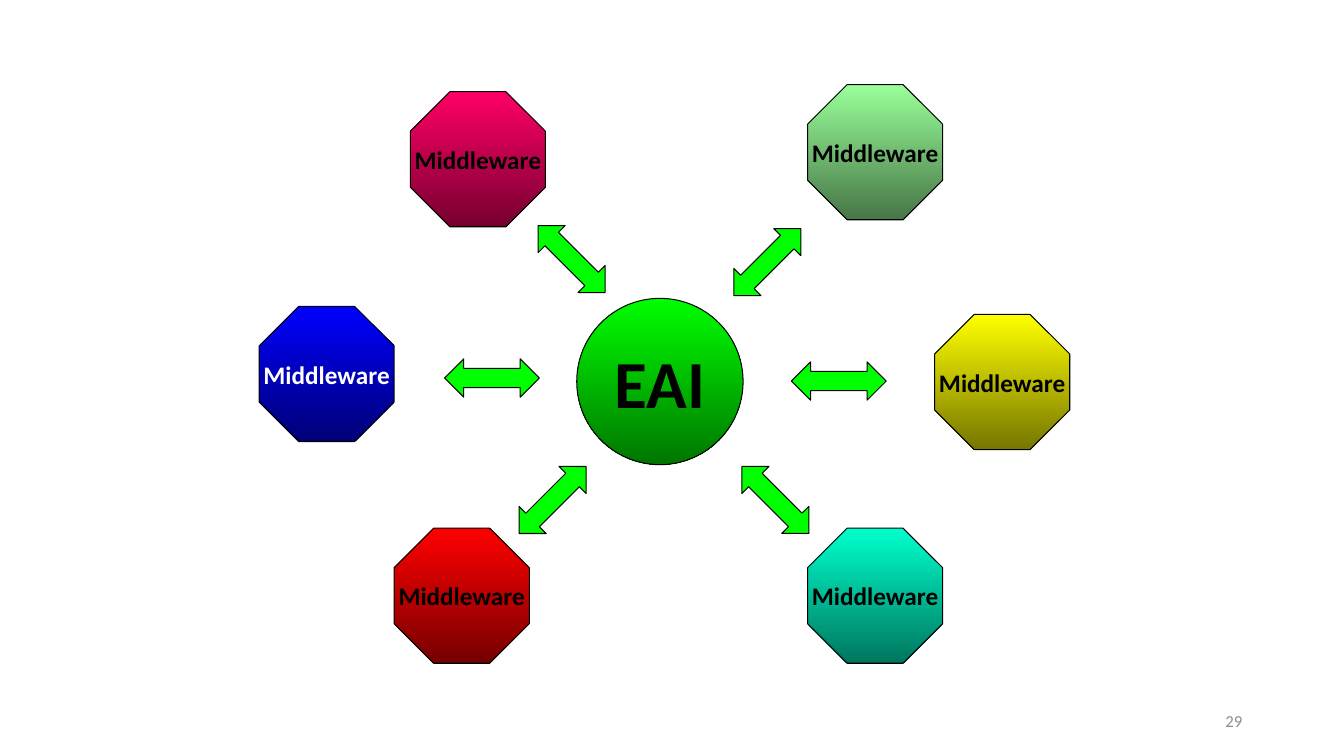
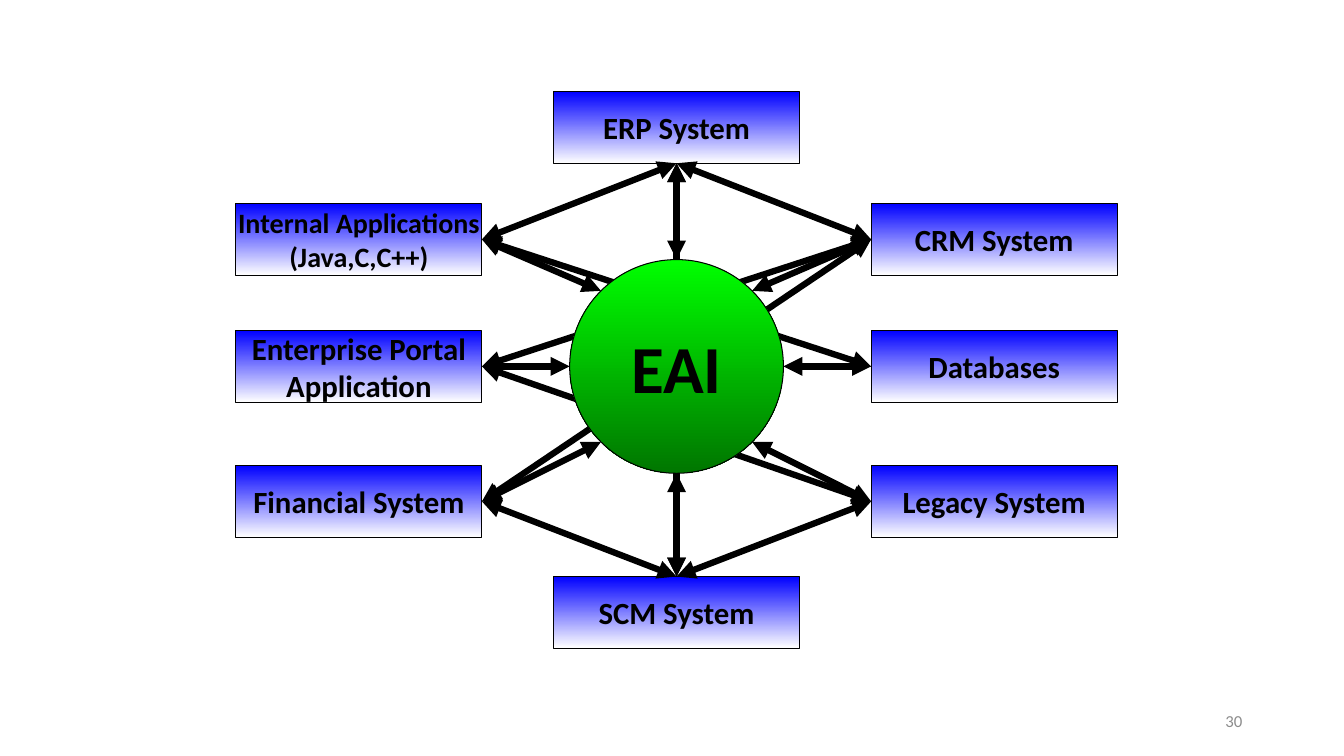
from math import cos, radians, sin

from pptx import Presentation
from pptx.dml.color import RGBColor as RGB
from pptx.enum.shapes import MSO_CONNECTOR as Line, MSO_SHAPE as Shape
from pptx.enum.text import MSO_ANCHOR as Anchor, PP_ALIGN as Align
from pptx.oxml.ns import qn
from pptx.util import Inches, Pt
from lxml import etree

BLACK = RGB(0x00, 0x00, 0x00)
WHITE = RGB(0xFF, 0xFF, 0xFF)
GREY = RGB(0x8C, 0x8C, 0x8C)
GREEN = RGB(0x00, 0xFF, 0x00)
BLUE = RGB(0x00, 0x00, 0xFF)
PINK = RGB(0xFF, 0x00, 0x66)
RED = RGB(0xFF, 0x00, 0x00)
TEAL = RGB(0x00, 0xFF, 0xCC)
YELLOW = RGB(0xFF, 0xFF, 0x00)
MINT = RGB(0x99, 0xFF, 0x99)

WIDE, HIGH = 13.33, 7.5
CELL = 0.1  # grid cell in inches
BOLD = dict(name="Calibri", bold=True)
PLAIN = dict(name="Calibri", size=Pt(12))

# Centre column and row, fill, text colour
NODES = [
    (21.7, 7.4, PINK, BLACK),
    (6.7, 28.7, BLUE, WHITE),
    (61.1, 50.7, TEAL, BLACK),
    (73.7, 29.5, YELLOW, BLACK),
    (20.1, 50.7, RED, BLACK),
    (61.1, 6.7, MINT, BLACK),
]
# Centre column and row, turn in degrees
ARROWS = [
    (51.2, 41.2, 45), (29.1, 41.2, 135), (31, 17.3, 45),
    (57.5, 29.4, 0), (23.1, 29.1, 0), (50.4, 17.6, 135),
]

APP_W, APP_H = 24.4, 7.1
LEFT, MID, RIGHT = (APP_W / 2 + 31.5 * n for n in range(3))
ROWS = [top + APP_H / 2 for top in (0, 11.1, 23.7, 37.1, 48.1)]
# Text, column, row, side that faces the hub, angle of its spoke, text size
APPS = {
    "erp": ("ERP System", MID, 0, (0, 1), -90, 22),
    "old": ("Legacy System", RIGHT, 3, (-1, 0), 45, 22),
    "data": ("Databases", RIGHT, 2, (-1, 0), 0, 22),
    "crm": ("CRM System", RIGHT, 1, (-1, 0), -45, 22),
    "portal": ("Enterprise Portal\nApplication", LEFT, 2, (1, 0), 180, 22),
    "money": ("Financial System", LEFT, 3, (1, 0), 135, 22),
    "scm": ("SCM System", MID, 4, (0, -1), 90, 22),
    "own": ("Internal Applications\n(Java,C,C++)", LEFT, 1, (1, 0), -135, 20),
}
LINKS = [
    ("own", "erp"), ("portal", "old"), ("own", "data"),
    ("scm", "money"), ("scm", "old"), ("erp", "scm"),
    ("erp", "crm"), ("portal", "crm"), ("money", "crm"),
]


def shade(tint):
    return RGB(*(round(part * 118 / 255) for part in tint))


def spot(box, col, row):
    """Turn a grid place in the box into slide lengths."""
    return Inches(box[0] + col * CELL), Inches(box[1] + row * CELL)


def write(frame, text, align, tint, **font):
    frame.text = text
    frame.vertical_anchor = Anchor.MIDDLE
    for para in frame.paragraphs:
        para.alignment = align
        para.font.color.rgb = tint
        for key, value in font.items():
            setattr(para.font, key, value)


def draw(slide, kind, box, col, row, wide, high, tint, end=None):
    """Add a shape centred on a grid place, with a gradient if end is set."""
    left, top = spot(box, col - wide / 2, row - high / 2)
    shape = slide.shapes.add_shape(
        kind, left, top, Inches(wide * CELL), Inches(high * CELL))
    shape.shadow.inherit = False
    shape.line.color.rgb = BLACK
    shape.line.width = Pt(0.75)
    if end is None:
        shape.fill.solid()
        shape.fill.fore_color.rgb = tint
    else:
        shape.fill.gradient()
        shape.fill.gradient_angle = 270
        for stop, rgb in zip(shape.fill.gradient_stops, (tint, end)):
            stop.color.rgb = rgb
    return shape


def label(shape, text, size, tint=BLACK):
    shape.text_frame.word_wrap = False
    write(shape.text_frame, text, Align.CENTER, tint, size=Pt(size), **BOLD)


def hub(slide, box, col, row, size):
    disc = draw(slide, Shape.OVAL, box, col, row, size, size,
                GREEN, shade(GREEN))
    label(disc, "EAI", 48)


def link(slide, box, start, end):
    """Join two grid places with a double-headed line."""
    line = slide.shapes.add_connector(
        Line.STRAIGHT, *spot(box, *start), *spot(box, *end))
    line.line.color.rgb = BLACK
    line.line.width = Pt(4.5)
    props = line.line._get_or_add_ln()
    for tag in ("a:headEnd", "a:tailEnd"):
        etree.SubElement(props, qn(tag), type="triangle")
    etree.SubElement(line._element.spPr, qn("a:effectLst"))


def wheel(slide, box):
    """Middleware nodes around the hub."""
    for col, row, tint, ink in NODES:
        node = draw(slide, Shape.OCTAGON, box, col, row, 13.4, 13.4,
                    tint, shade(tint))
        label(node, "Middleware", 18, ink)
    hub(slide, box, 39.75, 29.45, 16.5)
    for col, row, turn in ARROWS:
        arrow = draw(slide, Shape.LEFT_RIGHT_ARROW, box, col, row,
                     9.4, 3.8, GREEN)
        arrow.rotation = turn


def mesh(slide, box):
    """Applications linked to each other and to the hub."""
    ports = {}
    for key, (text, col, row, side, _, size) in APPS.items():
        mid = ROWS[row]
        app = draw(slide, Shape.RECTANGLE, box, col, mid, APP_W, APP_H,
                   BLUE, WHITE)
        label(app, text, size)
        ports[key] = (col + side[0] * APP_W / 2, mid + side[1] * APP_H / 2)
    for start, end in LINKS:
        link(slide, box, ports[start], ports[end])
    size = 21.2
    hub(slide, box, MID, ROWS[2], size)
    for key, port in ports.items():
        turn = radians(APPS[key][4])
        rim = (MID + cos(turn) * size / 2, ROWS[2] + sin(turn) * size / 2)
        link(slide, box, port, rim)


def number(slide, box, value):
    area = slide.shapes.add_textbox(*(Inches(part) for part in box))
    area.text_frame.word_wrap = True
    write(area.text_frame, str(value), Align.RIGHT, GREY, **PLAIN)


def main():
    deck = Presentation()
    deck.slide_width, deck.slide_height = Inches(WIDE), Inches(HIGH)
    pages = [(wheel, (2.57, 0.84)), (mesh, (2.34, 0.91))]
    for value, (build, box) in enumerate(pages, 29):
        slide = deck.slides.add_slide(deck.slide_layouts[6])
        build(slide, box)
        number(slide, (9.42, 6.95, 3, 0.4), value)
    deck.save("out.pptx")


if __name__ == "__main__":
    main()
